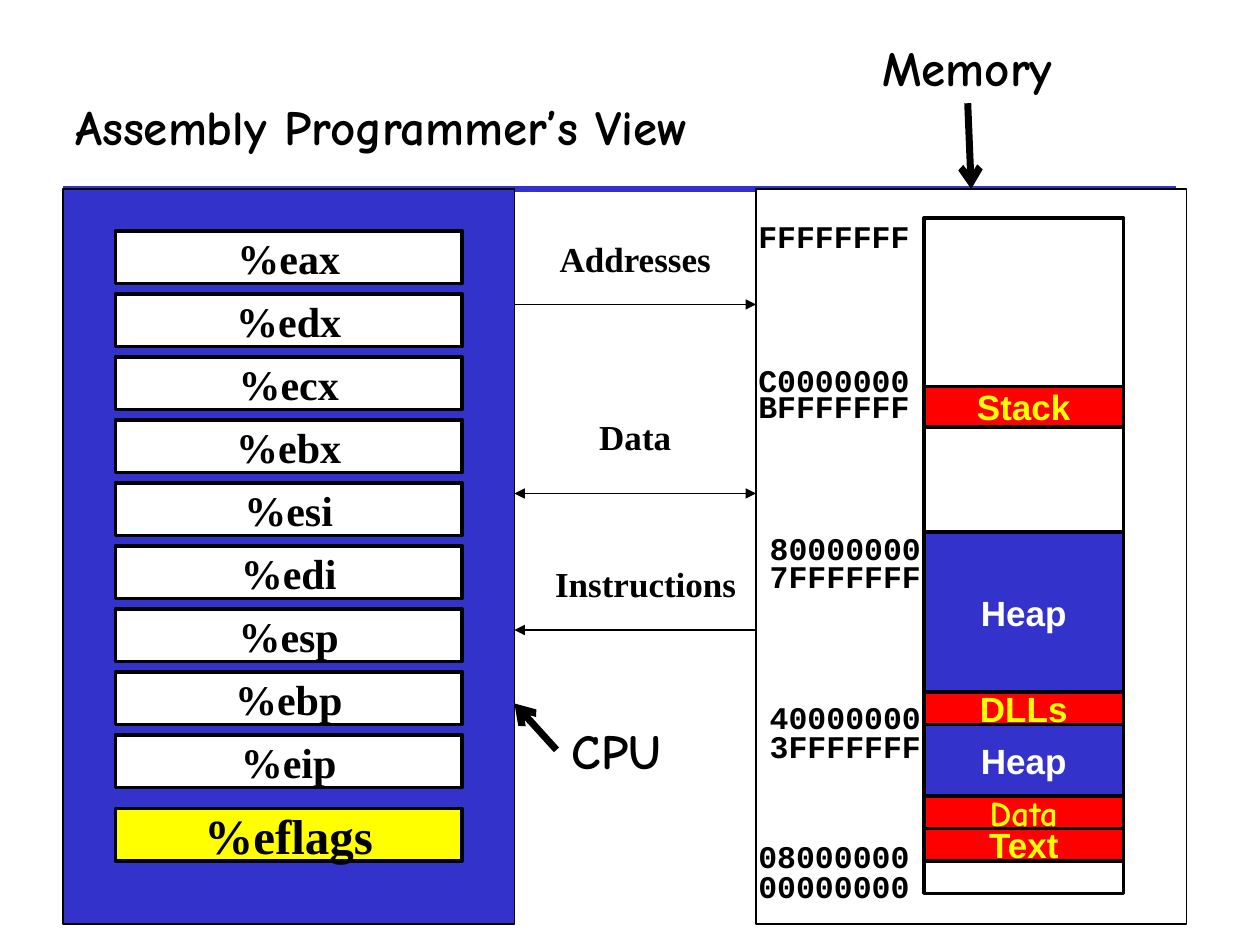
"""Build the Assembly Programmer's View slide: CPU registers, buses and memory layout."""
from dataclasses import dataclass

from lxml.etree import SubElement
from pptx import Presentation
from pptx.dml.color import RGBColor
from pptx.enum.shapes import MSO_CONNECTOR, MSO_SHAPE
from pptx.enum.text import MSO_ANCHOR, PP_ALIGN
from pptx.oxml.ns import qn
from pptx.util import Pt


@dataclass(frozen=True)
class Theme:
    black: str = "000000"
    white: str = "FFFFFF"
    blue: str = "3333CC"
    red: str = "FF0000"
    yellow: str = "FFFF00"
    heading: tuple = ("Comic Neue", 28)
    register: tuple = ("Times New Roman", 24)
    flags: tuple = ("Times New Roman", 28)
    bus: tuple = ("Times New Roman", 20)
    address: tuple = ("Courier New", 18)
    segment: tuple = ("Arial", 20)
    data_segment: tuple = ("Comic Neue", 20)
    thin: float = 0.75
    medium: float = 2
    rule: float = 3
    thick: float = 4


theme = Theme()
presentation = Presentation()
presentation.slide_width, presentation.slide_height = Pt(720), Pt(540)
slide = presentation.slides.add_slide(presentation.slide_layouts[6])


def add_box(bounds, text="", style=theme.bus, ink=theme.black, fill=None, border=None,
            align=PP_ALIGN.CENTER, anchor=MSO_ANCHOR.MIDDLE, wrap=False):
    bounds = [Pt(length) for length in bounds]
    if border:
        box = slide.shapes.add_shape(MSO_SHAPE.RECTANGLE, *bounds)
        box.shadow.inherit = False
        box.line.color.rgb = RGBColor.from_string(theme.black)
        box.line.width = Pt(border)
        if fill:
            box.fill.solid()
            box.fill.fore_color.rgb = RGBColor.from_string(fill)
        else:
            box.fill.background()
    else:
        box = slide.shapes.add_textbox(*bounds)
    if text:
        frame = box.text_frame
        frame.text = text
        frame.word_wrap = wrap
        frame.vertical_anchor = anchor
        paragraph = frame.paragraphs[0]
        paragraph.alignment = align
        font = paragraph.runs[0].font
        font.name, font.size, font.bold = style[0], Pt(style[1]), True
        font.color.rgb = RGBColor.from_string(ink)


def add_line(ends, width, color=theme.black, head=None, tail=None):
    line = slide.shapes.add_connector(MSO_CONNECTOR.STRAIGHT, *[Pt(end) for end in ends])
    line.line.color.rgb = RGBColor.from_string(color)
    line.line.width = Pt(width)
    for tag, arrow in (("a:headEnd", head), ("a:tailEnd", tail)):
        if arrow:
            SubElement(line.line._get_or_add_ln(), qn(tag), type=arrow)
    SubElement(line._element.spPr, qn("a:effectLst"))


add_line((36, 108, 672, 108), theme.rule, theme.blue)
add_box((36, 36, 636, 72), "Assembly Programmer’s View", theme.heading,
        align=PP_ALIGN.LEFT, wrap=True)

cpu_left, cpu_right, memory_left, panel_top, panel_height = 36, 294, 432, 108, 420
add_box((cpu_left, panel_top, cpu_right - cpu_left, panel_height),
        fill=theme.blue, border=theme.thin)
add_box((memory_left, panel_top, 246, panel_height), fill=theme.white, border=theme.thin)

column_left, column_top, column_width, quarter = 528, 124.5, 114, 96.5
for index in range(4):
    add_box((column_left, column_top + index * quarter, column_width, quarter),
            fill=theme.white, border=theme.thin)
add_box((column_left, column_top, column_width, 4 * quarter), border=theme.medium)

addresses = [
    ("FFFFFFFF", 426, 120.5), ("C0000000", 426, 202.5), ("BFFFFFFF", 426, 217.5),
    ("80000000", 432.5, 299), ("7FFFFFFF", 432.5, 314.5), ("40000000", 432.5, 395.5),
    ("3FFFFFFF", 432.5, 412), ("08000000", 426, 475), ("00000000", 426, 492),
]
for address, left, top in addresses:
    add_box((left, top, 101, 29), address, theme.address, anchor=MSO_ANCHOR.TOP)

segments = [
    ("Stack", 221, 23, theme.red, theme.yellow, theme.segment),
    ("Heap", 304, 91.5, theme.blue, theme.white, theme.segment),
    ("DLLs", 395.5, 18.5, theme.red, theme.yellow, theme.segment),
    ("Heap", 414, 41, theme.blue, theme.white, theme.segment),
    ("Data", 455, 18.5, theme.red, theme.yellow, theme.data_segment),
    ("Text", 473.5, 18.5, theme.red, theme.yellow, theme.segment),
]
for segment, top, height, fill, ink, style in segments:
    add_box((column_left, top, column_width, height), segment, style, ink, fill, theme.medium)

registers = ["eax", "edx", "ecx", "ebx", "esi", "edi", "esp", "ebp", "eip"]
for index, register in enumerate(registers):
    add_box((66, 132 + 36 * index, 198, 30), f"%{register}", theme.register,
            fill=theme.white, border=theme.medium)
add_box((66, 462, 198, 30), "%eflags", theme.flags, fill=theme.yellow, border=theme.medium)

buses = [
    ("Addresses", 294, 132, 174, None, "triangle"),
    ("Data", 294, 234, 282, "triangle", "triangle"),
    ("Instructions", 300, 318, 360, "triangle", None),
]
for bus, left, top, line_y, head, tail in buses:
    add_line((cpu_right, line_y, memory_left, line_y), theme.thin, head=head, tail=tail)
    add_box((left, top, 138, 31.5), bus, theme.bus, anchor=MSO_ANCHOR.TOP, wrap=True)

callouts = [
    ("CPU", (319.5, 408, 65.5, 41), (318, 428.5, 294, 402)),
    ("Memory", (497, 18, 111.5, 41), (553, 59, 555, 108)),
]
for callout, bounds, ends in callouts:
    add_box(bounds, callout, theme.heading, anchor=MSO_ANCHOR.TOP)
    add_line(ends, theme.thick, tail="arrow")

presentation.save("out.pptx")
